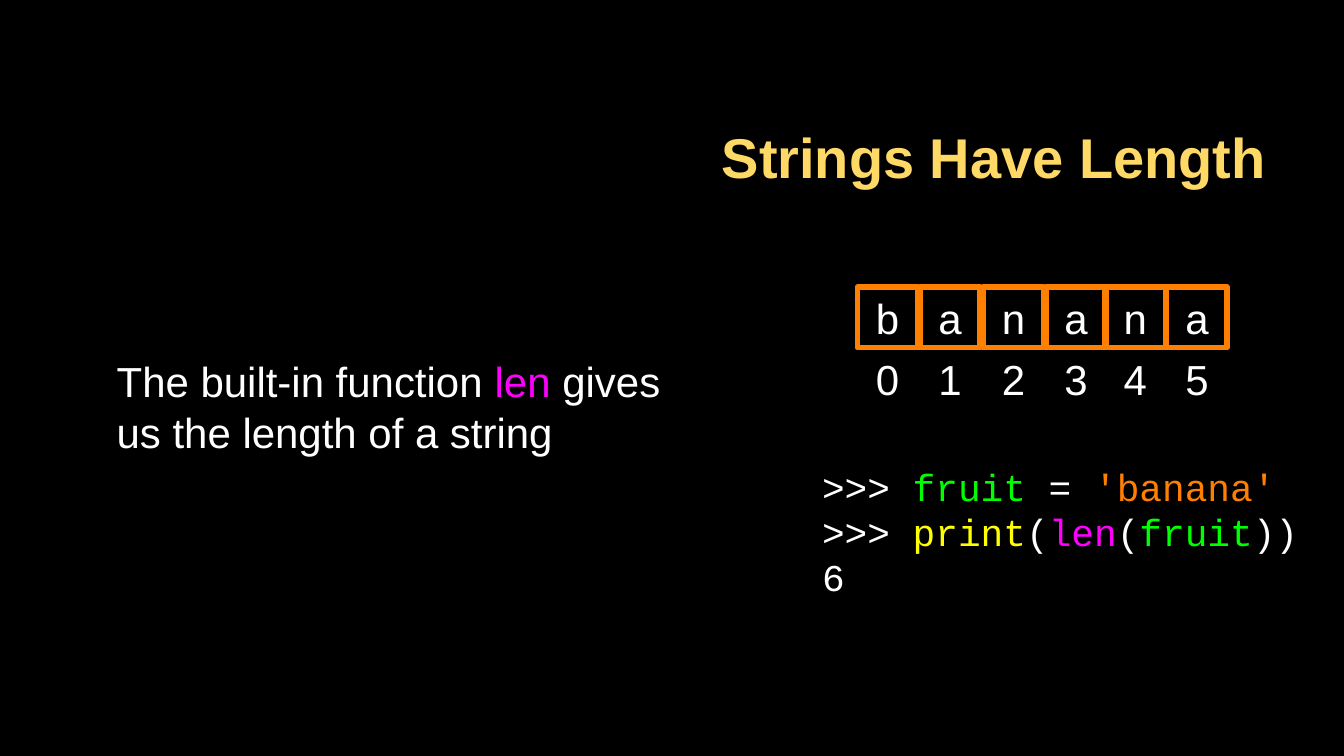
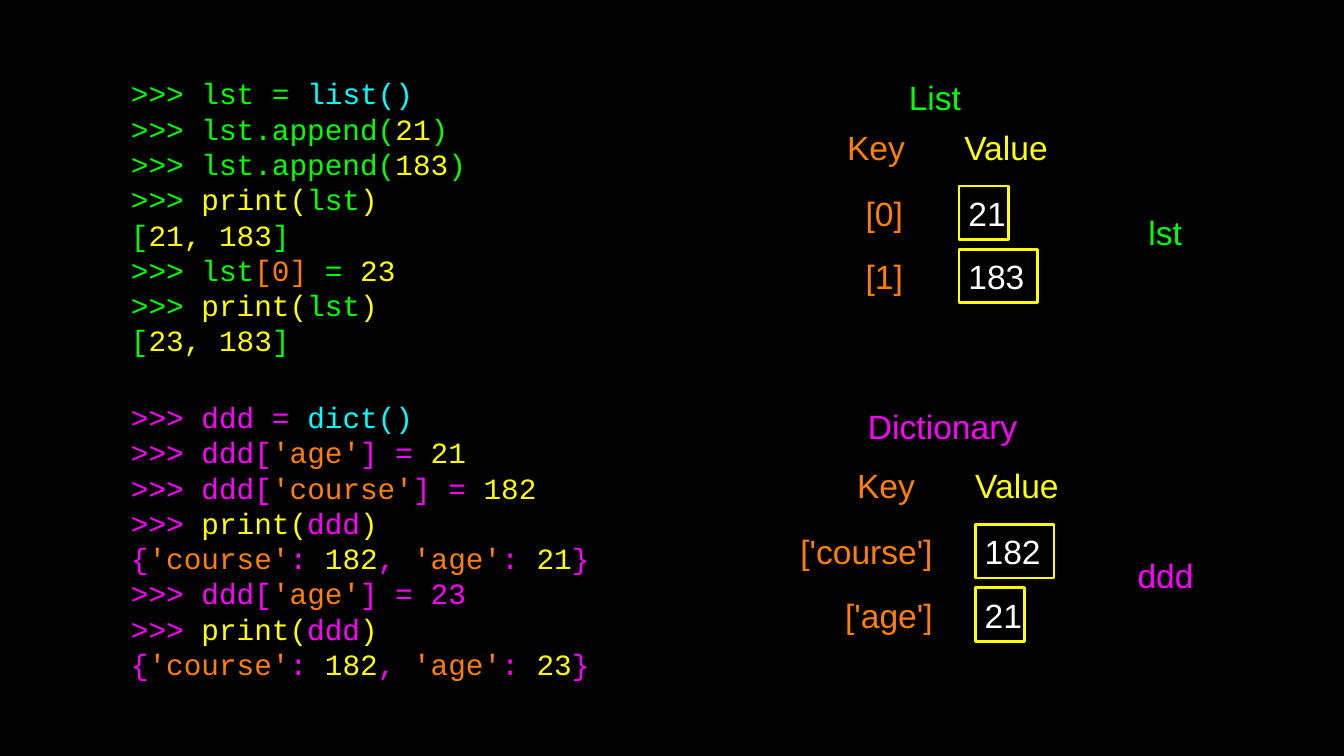
from dataclasses import dataclass
from typing import NamedTuple

from pptx import Presentation
from pptx.dml.color import RGBColor
from pptx.enum import shapes, text
from pptx.util import Pt

COLORS = {
    "black": "000000",
    "white": "FFFFFF",
    "gold": "FFD966",
    "orange": "FF7F00",
    "yellow": "FFFF00",
    "green": "00FF00",
    "magenta": "FF00FF",
    "cyan": "00FFFF",
}
SANS, MONO = "Arial", "Courier New"
LEADING = 1.2
LEFT, CENTER, RIGHT = text.PP_ALIGN.LEFT, text.PP_ALIGN.CENTER, text.PP_ALIGN.RIGHT


class Box(NamedTuple):
    x: float
    y: float
    w: float
    h: float


class Run(NamedTuple):
    text: str
    color: str


Line = list[Run]


@dataclass(frozen=True)
class Style:
    size: float
    font: str = SANS
    align: text.PP_ALIGN = LEFT
    bold: bool = False
    left: float = 0
    right: float = 0
    top: float = 0


@dataclass(frozen=True)
class Outline:
    color: str
    width: float


@dataclass(frozen=True)
class Entry:
    key: str
    key_width: float
    value: str
    value_width: float


@dataclass(frozen=True)
class Panel:
    title: str
    title_box: Box
    color: str
    header_y: float
    key_header_x: float
    value_header_x: float
    key_right: float
    value_x: float
    variable: str
    variable_box: Box
    entries: tuple[Entry, ...]


TITLE = Style(40, align=RIGHT, bold=True, left=2, right=2)
BODY = Style(30, left=15, right=2)
LETTER = Style(30, align=CENTER)
LABEL = Style(24, align=CENTER)
KEY = Style(24, align=RIGHT)
VALUE = Style(24, left=6.67)
BIG_CODE = Style(27, MONO, top=6)
CODE = Style(21, MONO, top=5)

CELL_LEFTS = (612.7, 657.4, 702.7, 747.4, 789.8, 833.8)
CELL_SIZE, CELL_Y, INDEX_Y = 43.2, 205.2, 249.1
LABEL_H, VALUE_H, ROW_STEP, FIRST_ROW = 36.7, 38.2, 45.2, 47.2


def rgb(name: str) -> RGBColor:
    return RGBColor.from_string(COLORS[name])


def add_slide(prs):
    s = prs.slides.add_slide(prs.slide_layouts[6])
    s.background.fill.solid()
    s.background.fill.fore_color.rgb = rgb("black")
    return s


def write(sp, lines: list[Line], style: Style) -> None:
    tf = sp.text_frame
    tf.word_wrap = True
    tf.vertical_anchor = text.MSO_ANCHOR.MIDDLE
    tf.margin_left, tf.margin_right = Pt(style.left), Pt(style.right)
    tf.margin_top, tf.margin_bottom = Pt(style.top), 0
    for i, line in enumerate(lines):
        p = tf.paragraphs[0] if i == 0 else tf.add_paragraph()
        p.alignment = style.align
        p.line_spacing = Pt(style.size * LEADING)
        for run in line:
            r = p.add_run()
            r.text = run.text
            r.font.name = style.font
            r.font.size = Pt(style.size)
            r.font.bold = style.bold
            r.font.color.rgb = rgb(run.color)


def add_text(s, box: Box, lines: list[Line], style: Style) -> None:
    write(s.shapes.add_textbox(*map(Pt, box)), lines, style)


def add_label(s, box: Box, label: str, color: str, style: Style = LABEL) -> None:
    add_text(s, box, [[Run(label, color)]], style)


def add_frame(s, box: Box, label: str, outline: Outline, style: Style) -> None:
    sp = s.shapes.add_shape(shapes.MSO_SHAPE.RECTANGLE, *map(Pt, box))
    sp.shadow.inherit = False
    sp.fill.background()
    sp.line.color.rgb = rgb(outline.color)
    sp.line.width = Pt(outline.width)
    write(sp, [[Run(label, "white")]], style)


def print_line(name: str, color: str) -> Line:
    return [Run(">>> ", color), Run("print(", "yellow"), Run(name, color), Run(")", "yellow")]


def append_line(value: str) -> Line:
    return [Run(">>> lst.append(", "green"), Run(value, "yellow"), Run(")", "green")]


def list_line(values: str) -> Line:
    return [Run("[", "green"), Run(values, "yellow"), Run("]", "green")]


def create_line(name: str, call: str, color: str) -> Line:
    return [Run(f">>> {name} = ", color), Run(call, "cyan")]


def assign_line(key: str, value: str, value_color: str = "yellow") -> Line:
    return [Run(">>> ddd[", "magenta"), Run(key, "orange"),
            Run("] = ", "magenta"), Run(value, value_color)]


def dict_line(age: str) -> Line:
    return [
        Run("{", "magenta"), Run("'course'", "orange"), Run(": ", "magenta"),
        Run("182", "yellow"), Run(", ", "magenta"), Run("'age'", "orange"),
        Run(": ", "magenta"), Run(age, "yellow"), Run("}", "magenta"),
    ]


LENGTH_CODE = [
    [Run(">>> ", "white"), Run("fruit", "green"), Run(" = ", "white"), Run("'banana'", "orange")],
    [Run(">>> ", "white"), Run("print", "yellow"), Run("(", "white"), Run("len", "magenta"),
     Run("(", "white"), Run("fruit", "green"), Run("))", "white")],
    [Run("6", "white")],
]
LIST_CODE = [
    create_line("lst", "list()", "green"),
    append_line("21"),
    append_line("183"),
    print_line("lst", "green"),
    list_line("21, 183"),
    [Run(">>> lst", "green"), Run("[0]", "orange"), Run(" = ", "green"), Run("23", "yellow")],
    print_line("lst", "green"),
    list_line("23, 183"),
]
DICT_CODE = [
    create_line("ddd", "dict()", "magenta"),
    assign_line("'age'", "21"),
    assign_line("'course'", "182"),
    print_line("ddd", "magenta"),
    dict_line("21"),
    assign_line("'age'", "23", "magenta"),
    print_line("ddd", "magenta"),
    dict_line("23"),
]
PANELS = (
    Panel("List", Box(640, 46, 56.2, 46), "green", 86.4, 602.6, 686.2, 645.2, 685.4,
          "lst", Box(813.6, 142.6, 38.2, 46),
          (Entry("[0]", 38.2, "21", 35.3), Entry("[1]", 38.2, "183", 56.2))),
    Panel("Dictionary", Box(596.2, 281.5, 154.8, 46), "magenta", 328.3, 609.8, 694, 666.5, 697,
          "ddd", Box(803.5, 388, 59, 46),
          (Entry("['course']", 109.4, "182", 56.2), Entry("['age']", 70.6, "21", 35.3))),
)


def add_panel(s, panel: Panel) -> None:
    add_label(s, panel.title_box, panel.title, panel.color)
    add_label(s, Box(panel.key_header_x, panel.header_y, 46.8, LABEL_H), "Key", "orange")
    add_label(s, Box(panel.value_header_x, panel.header_y, 65.5, LABEL_H), "Value", "yellow")
    add_label(s, panel.variable_box, panel.variable, panel.color)
    for i, entry in enumerate(panel.entries):
        y = panel.header_y + FIRST_ROW + i * ROW_STEP
        key_box = Box(panel.key_right - entry.key_width, y, entry.key_width, LABEL_H)
        add_label(s, key_box, entry.key, "orange", KEY)
        value_y = y - (VALUE_H - LABEL_H) / 2
        value_box = Box(panel.value_x, value_y, entry.value_width, VALUE_H)
        add_frame(s, value_box, entry.value, Outline("yellow", 2), VALUE)


def build_length_slide(prs) -> None:
    s = add_slide(prs)
    add_label(s, Box(228.2, 60.5, 678.2, 101.5), "Strings Have Length", "gold", TITLE)
    sentence = [Run("The built-in function ", "white"), Run("len", "magenta"),
                Run(" gives us the length of a string", "white")]
    add_text(s, Box(68.4, 154, 436.3, 272.2), [sentence], BODY)
    add_text(s, Box(587.5, 327.6, 372.2, 98), LENGTH_CODE, BIG_CODE)
    for i, (letter, x) in enumerate(zip("banana", CELL_LEFTS)):
        add_label(s, Box(x, INDEX_Y, CELL_SIZE, CELL_SIZE), str(i), "white", LETTER)
        add_frame(s, Box(x, CELL_Y, CELL_SIZE, CELL_SIZE), letter, Outline("orange", 4), LETTER)


def build_list_and_dict_slide(prs) -> None:
    s = add_slide(prs)
    add_text(s, Box(93.6, 46, 336.2, 212.4), LIST_CODE, CODE)
    add_text(s, Box(93.6, 267.1, 367.2, 232.6), DICT_CODE, CODE)
    for panel in PANELS:
        add_panel(s, panel)


def main() -> None:
    prs = Presentation()
    prs.slide_width, prs.slide_height = Pt(960.5), Pt(540)
    build_length_slide(prs)
    build_list_and_dict_slide(prs)
    prs.save("out.pptx")


if __name__ == "__main__":
    main()
